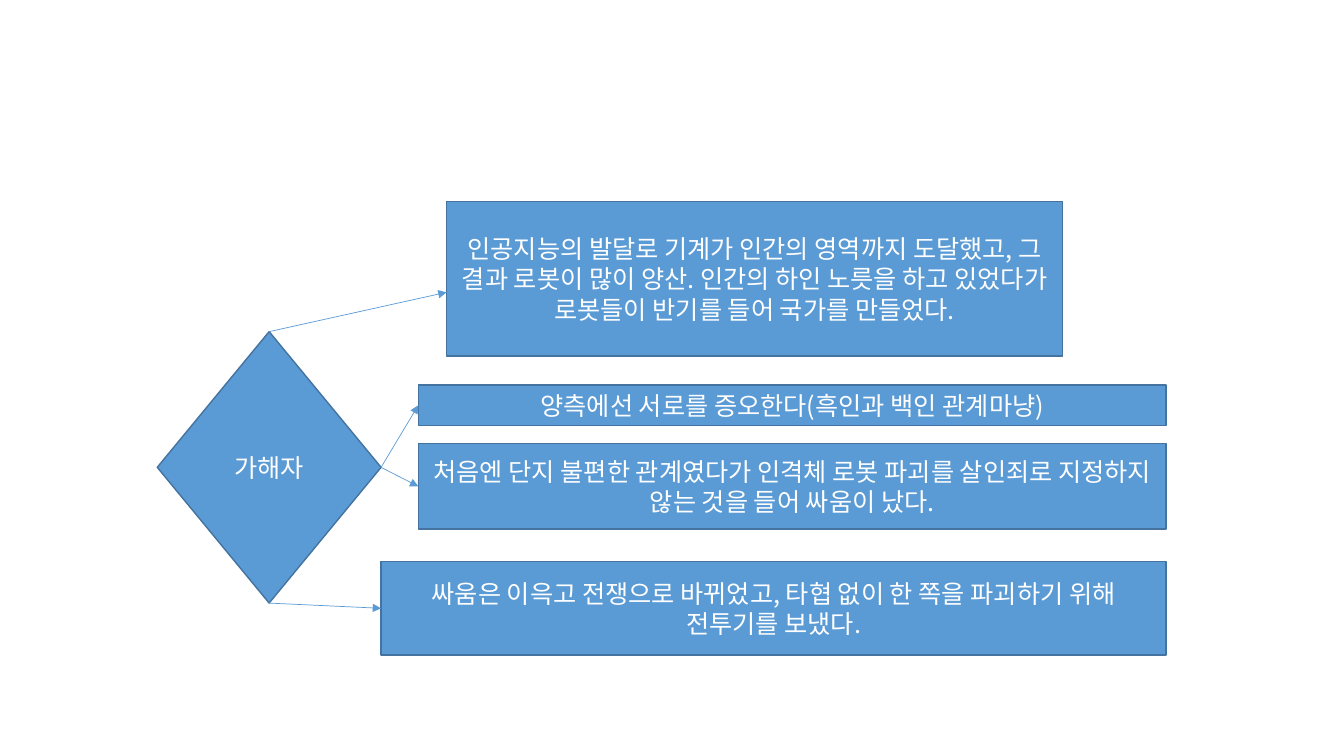
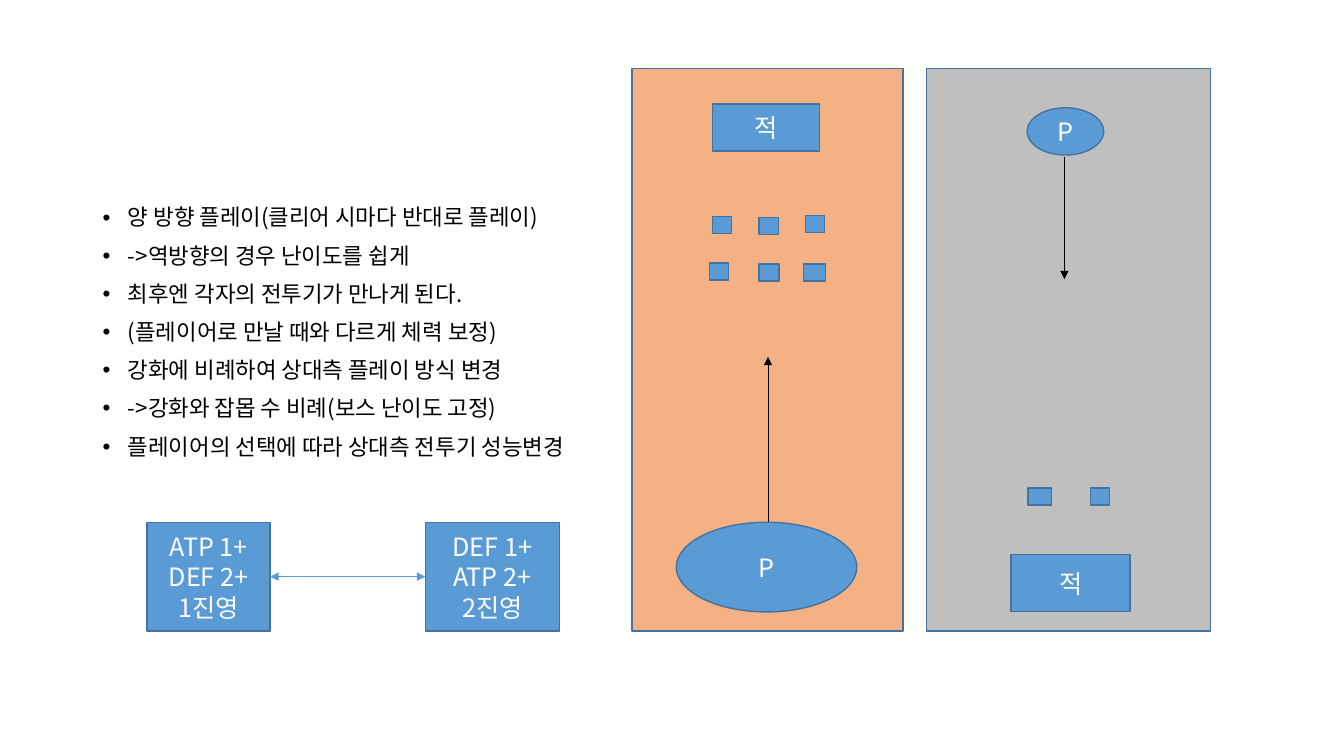
from dataclasses import dataclass
from typing import Optional

from lxml.etree import SubElement
from pptx import Presentation
from pptx.dml.color import RGBColor
from pptx.enum.shapes import MSO_CONNECTOR as Connectors, MSO_SHAPE as Shapes
from pptx.enum.text import MSO_ANCHOR as Anchor, MSO_AUTO_SIZE as AutoSize, PP_ALIGN as Align
from pptx.oxml.ns import qn
from pptx.util import Pt

COLORS = {
    "blue": "5B9BD5",
    "outline": "43739E",
    "orange": "F4B183",
    "gray": "BFBFBF",
    "white": "FFFFFF",
    "black": "000000",
}
FONT = "Noto Sans CJK KR"
TOP, LEFT, BOTTOM, RIGHT = range(4)


@dataclass(frozen=True)
class Node:
    x: float
    y: float
    width: float
    height: float
    text: str = ""
    fill: str = "blue"
    kind: Shapes = Shapes.RECTANGLE


@dataclass(frozen=True)
class Arrow:
    x1: float
    y1: float
    x2: float
    y2: float
    color: str = "blue"
    double: bool = False


def rgb(name: str) -> RGBColor:
    return RGBColor.from_string(COLORS[name])


def style_paragraph(paragraph, size: float, color: str) -> None:
    font = paragraph.font
    font.name, font.size = FONT, Pt(size)
    font.color.rgb = rgb(color)
    latin = next(paragraph._p.iter(qn("a:latin")))
    SubElement(latin.getparent(), qn("a:ea"), typeface=FONT)


def draw_node(slide, node: Node):
    shape = slide.shapes.add_shape(
        node.kind, Pt(node.x), Pt(node.y), Pt(node.width), Pt(node.height))
    shape.shadow.inherit = False
    shape.fill.solid()
    shape.fill.fore_color.rgb = rgb(node.fill)
    shape.line.color.rgb = rgb("outline")
    shape.line.width = Pt(1)
    if node.text:
        frame = shape.text_frame
        frame.word_wrap = True
        frame.vertical_anchor = Anchor.MIDDLE
        frame.text = node.text
        for paragraph in frame.paragraphs:
            paragraph.alignment = Align.CENTER
            style_paragraph(paragraph, 18, "white")
    return shape


def draw_arrow(slide, arrow: Arrow, start: Optional[tuple] = None,
               end: Optional[tuple] = None) -> None:
    connector = slide.shapes.add_connector(
        Connectors.STRAIGHT, Pt(arrow.x1), Pt(arrow.y1), Pt(arrow.x2), Pt(arrow.y2))
    connector.line.color.rgb = rgb(arrow.color)
    connector.line.width = Pt(0.5)
    properties = connector.element.spPr
    line = properties.find(qn("a:ln"))
    if arrow.double:
        SubElement(line, qn("a:headEnd"), type="triangle")
    SubElement(line, qn("a:tailEnd"), type="triangle")
    SubElement(properties, qn("a:effectLst"))
    if start:
        connector.begin_connect(*start)
    if end:
        connector.end_connect(*end)


OFFENDER = Node(112.3, 236.9, 159.9, 193.9, "가해자", kind=Shapes.DIAMOND)
ORIGIN = Node(319, 144, 440, 110.2,
              "인공지능의 발달로 기계가 인간의 영역까지 도달했고, 그 결과 로봇이 많이 양산. "
              "인간의 하인 노릇을 하고 있었다가 로봇들이 반기를 들어 국가를 만들었다.")
HATRED = Node(298.8, 275, 534.2, 29, "양측에선 서로를 증오한다(흑인과 백인 관계마냥)")
DISPUTE = Node(298.8, 316.8, 534.2, 61.2,
               "처음엔 단지 불편한 관계였다가 인격체 로봇 파괴를 살인죄로 "
               "지정하지 않는 것을 들어 싸움이 났다.")
WAR = Node(272.2, 401, 560.8, 67,
           "싸움은 이윽고 전쟁으로 바뀌었고, 타협 없이 한 쪽을 파괴하기 위해 전투기를 보냈다.")

RULES = [
    "양 방향 플레이(클리어 시마다 반대로 플레이)",
    "->역방향의 경우 난이도를 쉽게",
    "최후엔 각자의 전투기가 만나게 된다.",
    "(플레이어로 만날 때와 다르게 체력 보정)",
    "강화에 비례하여 상대측 플레이 방식 변경",
    "->강화와 잡몹 수 비례(보스 난이도 고정)",
    "플레이어의 선택에 따라 상대측 전투기 성능변경",
]
BATTLEFIELD = [
    Node(661.7, 49, 203, 401.8, fill="gray"),
    Node(451.4, 49, 193.7, 401.8, fill="orange"),
    Node(483.1, 373, 128.9, 64.1, "P", kind=Shapes.OVAL),
    Node(733.7, 77, 54.7, 33.8, "P", kind=Shapes.OVAL),
    Node(722.2, 396, 85, 41, "적"),
    Node(509, 74.2, 76.3, 33.8, "적"),
]
MINIONS = [
    (509, 154.8, 13.7), (542.2, 155.5, 13.7), (575.3, 154.1, 13.7),
    (506.9, 187.9, 13.7), (542.2, 188.6, 14.4), (573.8, 188.6, 15.8),
    (734.4, 348.5, 16.6), (779, 348.5, 13.7),
]
MINION_HEIGHT = 12.24
FLIGHTS = [
    Arrow(548.6, 373, 548.6, 254.9, "black"),
    Arrow(760.3, 112.3, 760.3, 199.4, "black"),
]
FIRST_CAMP = Node(105.1, 373, 87.9, 77.8, "ATP 1+\nDEF 2+\n1진영")
SECOND_CAMP = Node(303.8, 373, 95.8, 77.8, "DEF 1+\nATP 2+\n2진영")


def build_conflict(deck) -> None:
    slide = deck.slides.add_slide(deck.slide_layouts[6])
    offender = draw_node(slide, OFFENDER)
    draw_node(slide, ORIGIN)
    draw_arrow(slide, Arrow(192.2, 236.9, ORIGIN.x, 208.8), (offender, TOP))
    for event, side in ((HATRED, RIGHT), (DISPUTE, RIGHT), (WAR, BOTTOM)):
        draw_arrow(slide, Arrow(0, 0, 0, 0), (offender, side),
                   (draw_node(slide, event), LEFT))


def build_game_rules(deck) -> None:
    slide = deck.slides.add_slide(deck.slide_layouts[1])
    title, body = slide.placeholders
    title.element.getparent().remove(title.element)
    body.left, body.top, body.width, body.height = Pt(66.2), Pt(144), Pt(828), Pt(342.7)
    frame = body.text_frame
    frame.auto_size = AutoSize.NONE
    frame.vertical_anchor = Anchor.TOP
    frame.text = "\n".join(RULES)
    for paragraph in frame.paragraphs:
        paragraph.line_spacing = 0.9
        paragraph.space_before = Pt(10)
        style_paragraph(paragraph, 16, "black")
        indents = paragraph._p.pPr
        indents.set("marL", str(Pt(18)))
        indents.set("indent", str(Pt(-18)))

    for node in BATTLEFIELD:
        draw_node(slide, node)
    for x, y, width in MINIONS:
        draw_node(slide, Node(x, y, width, MINION_HEIGHT))
    for flight in FLIGHTS:
        draw_arrow(slide, flight)
    first, second = (draw_node(slide, camp) for camp in (FIRST_CAMP, SECOND_CAMP))
    draw_arrow(slide, Arrow(0, 0, 0, 0, double=True), (first, RIGHT), (second, LEFT))


def main() -> None:
    deck = Presentation()
    deck.slide_width, deck.slide_height = Pt(960), Pt(540)
    build_conflict(deck)
    build_game_rules(deck)
    deck.save("out.pptx")


if __name__ == "__main__":
    main()
